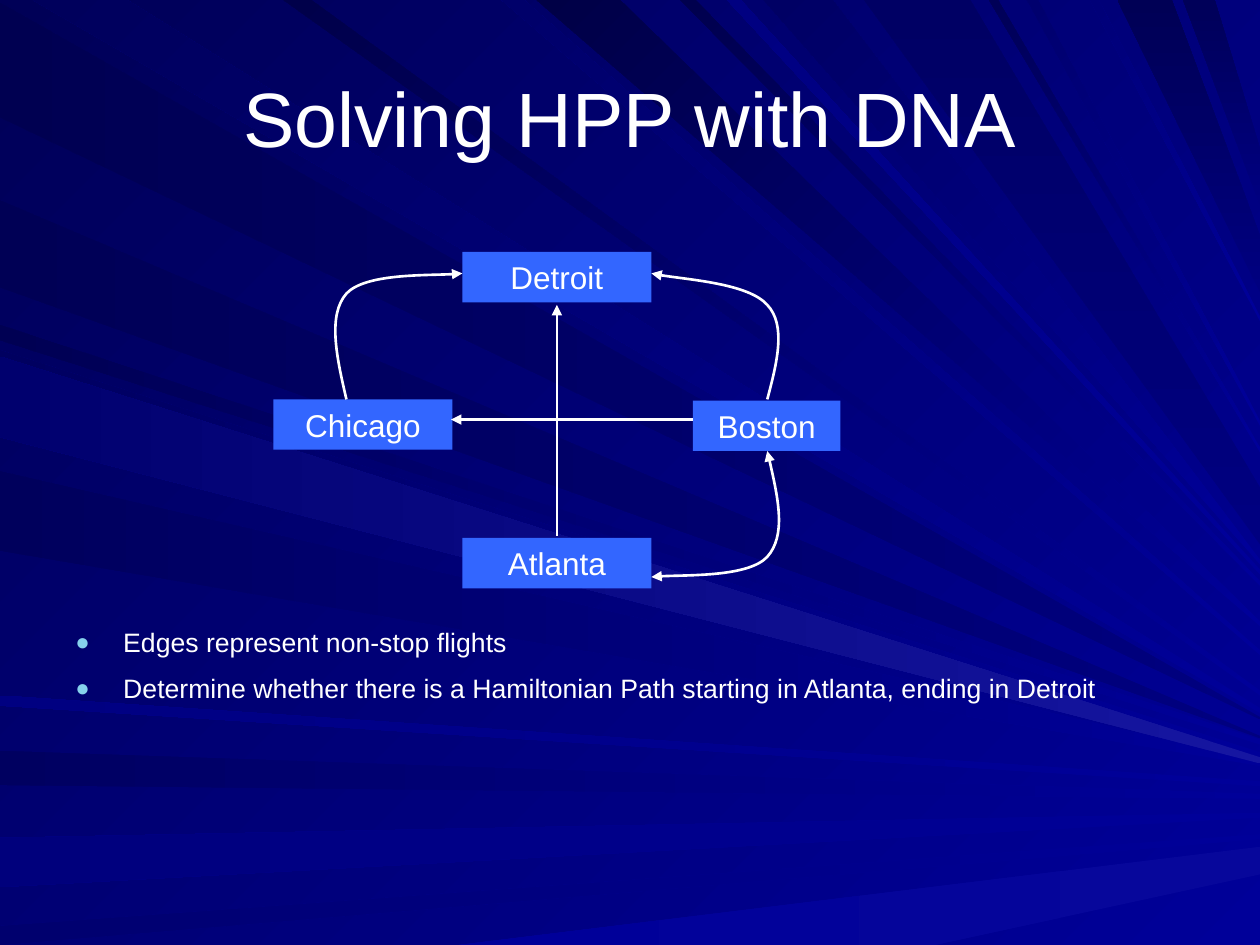
from lxml.etree import SubElement
from pptx import Presentation
from pptx.dml.color import RGBColor
from pptx.enum.shapes import MSO_CONNECTOR, MSO_SHAPE
from pptx.enum.text import MSO_ANCHOR, PP_ALIGN
from pptx.oxml.ns import qn
from pptx.util import Pt

PX = 9144  # 100 px to the inch
WIDTH, HEIGHT = 1000, 750
WHITE, BOX_BLUE, BULLET = "FFFFFF", "3366FF", "86D1EC"
BASE = "000099"

# Kind of ray: colour at the tip, gradient direction, depth of the tip
RAY_KINDS = {
    "left": (BASE, 180, 4),
    "shade": ("000080", 180, 2),
    "glow": ("1616A1", 180, 5),
    "top": (BASE, 225, 4),
    "steep": ("000080", 270, 45),
    "bottom": ("07079B", 180, 22),
}
# Kind, start and end on the edge it leaves, height of the tip, far colour
RAYS = [
    ("shade", 2, 93, 569, "000051"),
    ("top", 26, 101, 562, "00005C"),
    ("left", 596, 623, 630, "000060"),
    ("left", 665, 704, 645, "00007C"),
    ("left", 735, 750, 662, "00006E"),
    ("bottom", 364, 742, 672, BASE),
    ("left", 258, 270, 587, "000053"),
    ("shade", 159, 228, 584, "000055"),
    ("top", 398, 416, 516, "00006A"),
    ("top", 426, 492, 493, "000046"),
    ("top", 540, 552, 461, "00004E"),
    ("top", 606, 661, 444, "000064"),
    ("steep", 887, 930, 187, "000055"),
    ("steep", 939, 964, 118, "000059"),
    ("left", 278, 342, 597, "000060"),
    ("left", 374, 437, 604, "00005C"),
    ("left", 552, 560, 620, "000081"),
    ("top", 225, 247, 548, "00004A"),
    ("top", 577, 588, 452, "000081"),
    ("steep", 686, 770, 387, "000064"),
    ("top", 785, 792, 355, "000057"),
    ("top", 815, 824, 334, "00006E"),
    ("top", 865, 872, 251, "000078"),
    ("glow", 283, 347, 601, "00006E"),
]

# Flight map, relative to its box
CITIES = [
    ("Detroit", 150, 0, 150),
    ("Atlanta", 150, 227, 150),
    ("Boston", 333, 118, 117),
    ("Chicago", 0, 117, 142),
]
CITY_HEIGHT = 40
# A bend is a start and two Bezier pieces of three points
BEND_X = (15, 7, 0, 15, 30, 91, 107)
ROUND_Y = (100, 66, 33, 16, 0, 2, 0)
SLANTED_Y = (100, 70, 41, 25, 8, 4, 0)
# Heights, corner, direction across and down, arrows at both ends
CURVES = [
    (ROUND_Y, 43, 17, 1, 1, False),
    (ROUND_Y, 407, 258, -1, -1, True),
    (SLANTED_Y, 407, 17, -1, 1, False),
]
STRAIGHTS = [(225, 225, 225, 42), (333, 133, 141, 133)]


def px(*values):
    return [v * PX for v in values]


def rgb(value):
    return RGBColor.from_string(value)


def paint(fill, colour, far=None, angle=0):
    if far is None:
        fill.solid()
        fill.fore_color.rgb = rgb(colour)
        return
    fill.gradient()
    fill.gradient_angle = 360 - angle
    for stop, value in zip(fill.gradient_stops, (colour, far)):
        stop.color.rgb = rgb(value)


def outline(shapes, points, left, top, close):
    moved = [(left + x, top + y) for x, y in points]
    builder = shapes.build_freeform(*moved[0], scale=PX)
    builder.add_line_segments(moved[1:], close=close)
    sp = builder.convert_to_shape()
    sp.shadow.inherit = False
    return sp


def format_text(p, size):
    for r in p.runs:
        r.font.name = "Arial"
        r.font.size = Pt(size)
        r.font.color.rgb = rgb(WHITE)


def arrow_line(line, both=False):
    line.color.rgb = rgb(WHITE)
    line.width = Pt(1.5)
    ln = line._get_or_add_ln()
    for end in ("a:headEnd", "a:tailEnd") if both else ("a:tailEnd",):
        SubElement(ln, qn(end), type="triangle")


def bend(sp):
    """Turn each three segments of an outline into one Bezier piece."""
    segments = list(sp._element.iter(qn("a:lnTo")))
    for i in range(0, len(segments), 3):
        curve = SubElement(segments[i].getparent(), qn("a:cubicBezTo"))
        for segment in segments[i:i + 3]:
            curve.append(segment[0])
            segment.getparent().remove(segment)


def add_rays(s, left, top, width, height):
    shapes = s.shapes.add_group_shape().shapes
    for kind, start, end, tip, far in RAYS:
        colour, angle, depth = RAY_KINDS[kind]
        if kind in ("top", "steep"):
            edge = [(end, 0), (start, 0)]
        elif kind == "bottom":
            edge = [(start, height), (end, height)]
        else:
            edge = [(0, start), (0, end)]
        points = edge + [(width, tip + depth), (width, tip)]
        sp = outline(shapes, points, left, top, True)
        paint(sp.fill, colour, far, angle)
        sp.line.fill.background()


def add_title(s, left, top, width, height):
    tf = s.shapes.add_textbox(*px(left, top, width, height)).text_frame
    tf.word_wrap = True
    tf.vertical_anchor = MSO_ANCHOR.MIDDLE
    p = tf.paragraphs[0]
    p.text = "Solving HPP with DNA"
    p.alignment = PP_ALIGN.CENTER
    format_text(p, 44)


def add_flight_map(s, left, top):
    shapes = s.shapes.add_group_shape().shapes
    # Cities
    for name, x, y, width in CITIES:
        sp = shapes.add_shape(MSO_SHAPE.RECTANGLE, *px(left + x, top + y, width, CITY_HEIGHT))
        sp.shadow.inherit = False
        paint(sp.fill, BOX_BLUE)
        sp.line.fill.background()
        tf = sp.text_frame
        tf.word_wrap = True
        tf.text = name
        tf.paragraphs[0].alignment = PP_ALIGN.CENTER
        format_text(tf.paragraphs[0], 18)
    # Flights
    for heights, x, y, across, down, both in CURVES:
        points = [(x + across * dx, y + down * dy) for dx, dy in zip(BEND_X, heights)]
        sp = outline(shapes, points, left, top, False)
        bend(sp)
        sp.fill.background()
        arrow_line(sp.line, both)
    for x1, y1, x2, y2 in STRAIGHTS:
        flight = shapes.add_connector(
            MSO_CONNECTOR.STRAIGHT, *px(left + x1, top + y1, left + x2, top + y2))
        arrow_line(flight.line)
        SubElement(flight._element.spPr, qn("a:effectLst"))


def add_bullets(s, left, top, width, height):
    tf = s.shapes.add_textbox(*px(left, top, width, height)).text_frame
    tf.word_wrap = True
    tf.text = ("Edges represent non-stop flights\n"
               "Determine whether there is a Hamiltonian Path starting in Atlanta, ending in Detroit")
    for i, p in enumerate(tf.paragraphs):
        pPr = p._p.get_or_add_pPr()
        pPr.set("marL", str(38 * PX))
        pPr.set("indent", str(-38 * PX))
        SubElement(SubElement(pPr, qn("a:buClr")), qn("a:srgbClr"), val=BULLET)
        SubElement(pPr, qn("a:buSzPct"), val="90000")
        SubElement(pPr, qn("a:buFont"), typeface="Arial")
        SubElement(pPr, qn("a:buChar"), char="●")
        p.space_before = Pt(8 if i else 0)
        format_text(p, 15.2)


def main():
    prs = Presentation()
    prs.slide_width, prs.slide_height = px(WIDTH, HEIGHT)
    s = prs.slides.add_slide(prs.slide_layouts[6])
    paint(s.background.fill, BASE, "000057", 225)
    add_rays(s, 0, 0, WIDTH, HEIGHT)
    add_title(s, 50, 30, 900, 125)
    add_bullets(s, 50, 492, 900, 83)
    add_flight_map(s, 217, 200)
    prs.save("out.pptx")


if __name__ == "__main__":
    main()
